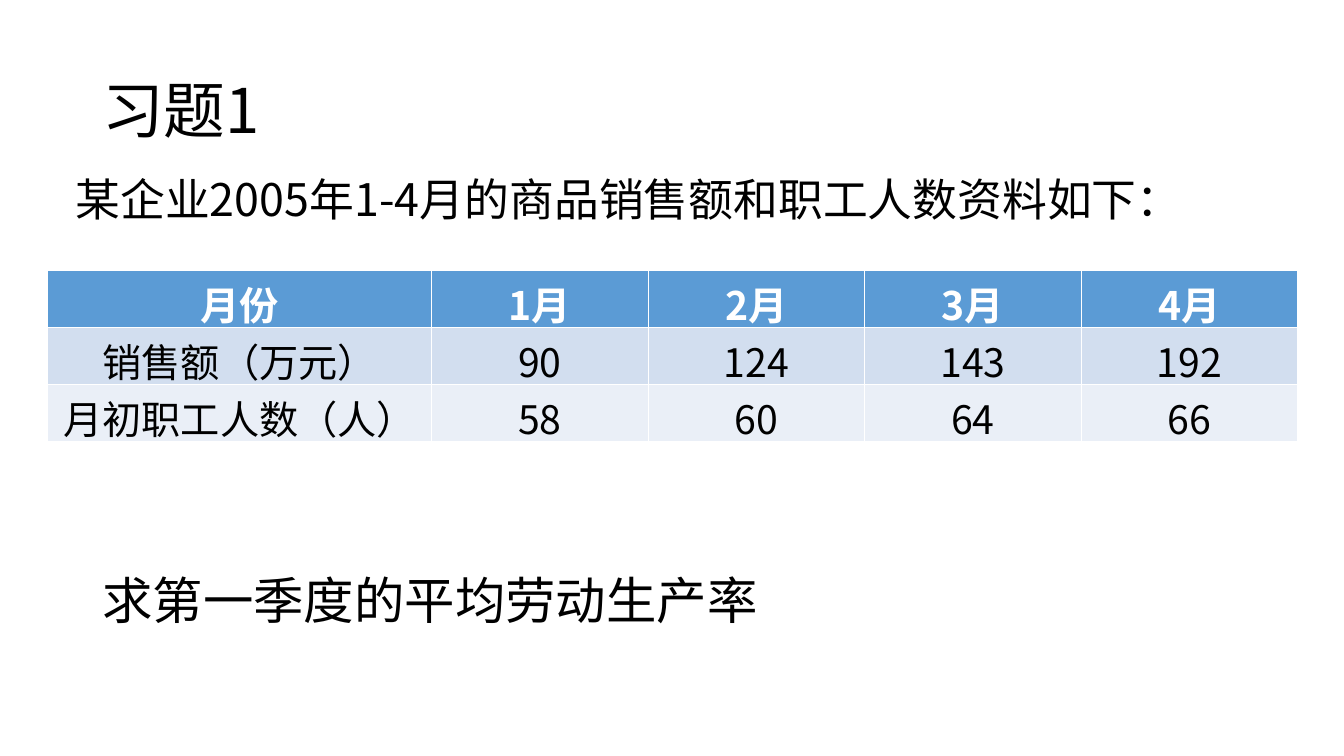
from lxml import etree
from pptx import Presentation
from pptx.dml.color import RGBColor
from pptx.enum import text
from pptx.oxml import ns
from pptx.util import Pt

FONT = "Noto Sans CJK SC"
BLACK = RGBColor(0x00, 0x00, 0x00)
WHITE = RGBColor(0xFF, 0xFF, 0xFF)
HEADER_BLUE = RGBColor(0x5B, 0x9B, 0xD5)
ROW_BLUES = (RGBColor(0xD2, 0xDE, 0xEF), RGBColor(0xEA, 0xEF, 0xF7))

MONTHLY_DATA = (
    ("月份", "1月", "2月", "3月", "4月"),
    ("销售额（万元）", "90", "124", "143", "192"),
    ("月初职工人数（人）", "58", "60", "64", "66"),
)
COLUMN_WIDTHS = (274.3,) + (154.7,) * 4
ROW_HEIGHT = 29.5
TABLE_HEIGHT = 122.4


def style_paragraph(paragraph, size, color=BLACK, bold=False):
    font = paragraph.font
    font.size = Pt(size)
    font.bold = bold
    font.color.rgb = color
    font.name = FONT
    latin = paragraph._p.find(".//" + ns.qn("a:latin"))
    east_asian = etree.Element(ns.qn("a:ea"), typeface=FONT)
    latin.addnext(east_asian)


def add_text(page, words, left, top, width, height, size):
    box = page.shapes.add_textbox(Pt(left), Pt(top), Pt(width), Pt(height))
    frame = box.text_frame
    frame.word_wrap = False
    frame.auto_size = text.MSO_AUTO_SIZE.SHAPE_TO_FIT_TEXT
    frame.text = words
    style_paragraph(frame.paragraphs[0], size)
    return frame


def add_title(page, words):
    frame = add_text(page, words, 66, 28.75, 828, 104.4, 44)
    frame.word_wrap = True
    frame.auto_size = text.MSO_AUTO_SIZE.NONE
    frame.vertical_anchor = text.MSO_ANCHOR.MIDDLE
    frame.paragraphs[0].line_spacing = 0.9


def fill_cell(cell, words, fill, color, bold):
    cell.fill.solid()
    cell.fill.fore_color.rgb = fill
    cell.text = words
    paragraph = cell.text_frame.paragraphs[0]
    paragraph.alignment = text.PP_ALIGN.CENTER
    style_paragraph(paragraph, 28, color, bold)


def add_data_table(page, left, top):
    holder = page.shapes.add_table(
        len(MONTHLY_DATA), len(COLUMN_WIDTHS),
        Pt(left), Pt(top), Pt(sum(COLUMN_WIDTHS)), Pt(TABLE_HEIGHT))
    table = holder.table
    for column, width in zip(table.columns, COLUMN_WIDTHS):
        column.width = Pt(width)
    for index, values in enumerate(MONTHLY_DATA):
        table.rows[index].height = Pt(ROW_HEIGHT)
        header = index == 0
        fill = HEADER_BLUE if header else ROW_BLUES[(index - 1) % 2]
        color = WHITE if header else BLACK
        for cell, words in zip(table.rows[index].cells, values):
            fill_cell(cell, words, fill, color, header)
    holder.height = Pt(TABLE_HEIGHT)


def main():
    deck = Presentation()
    deck.slide_width, deck.slide_height = Pt(960), Pt(540)
    page = deck.slides.add_slide(deck.slide_layouts[6])
    add_title(page, "习题1")
    add_text(page, "某企业2005年1-4月的商品销售额和职工人数资料如下：",
             46.8, 118.8, 811.4, 46.1, 32)
    add_data_table(page, 34, 193)
    add_text(page, "求第一季度的平均劳动生产率", 66, 403.2, 487.4, 51.1, 36)
    deck.save("out.pptx")


if __name__ == "__main__":
    main()
